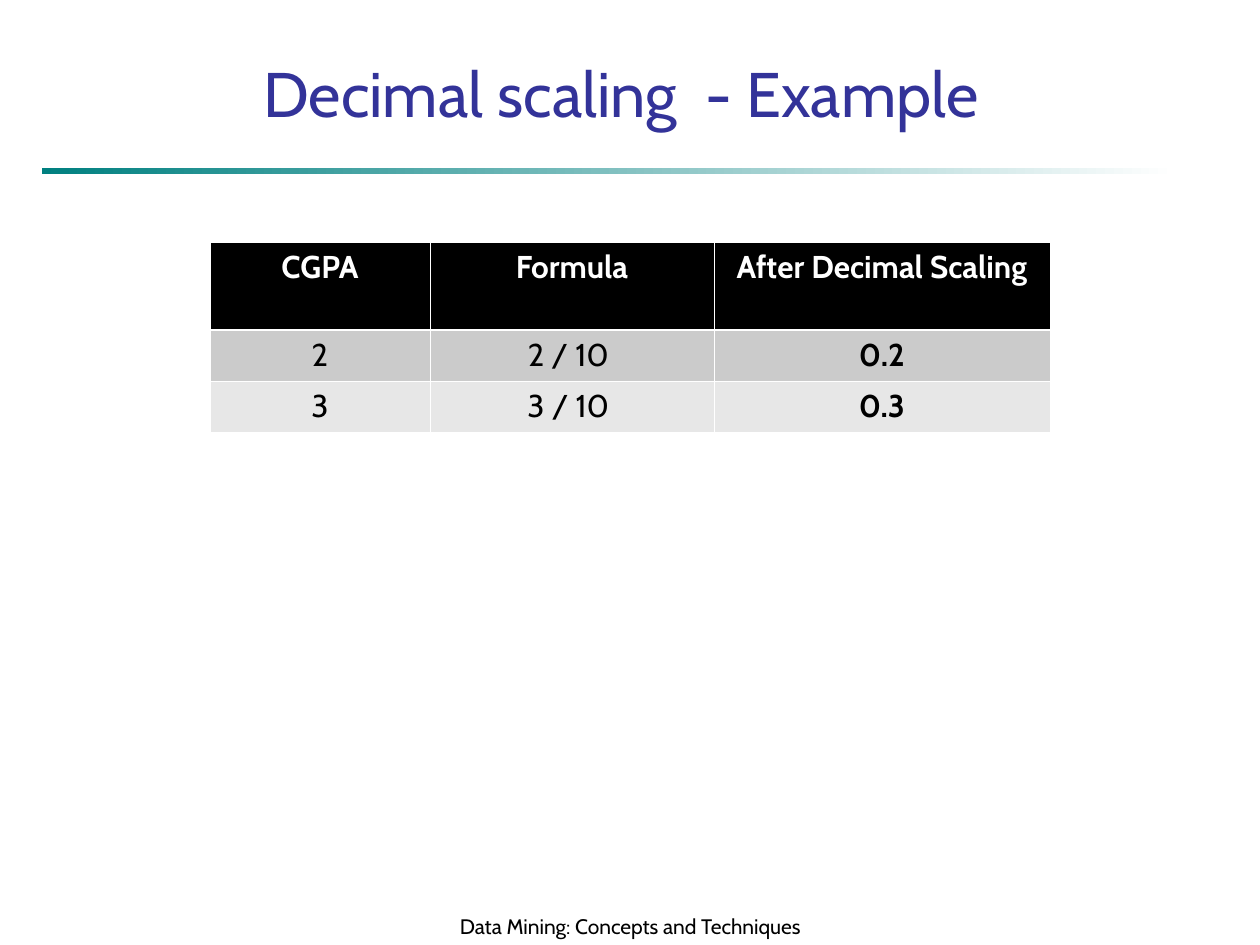
from lxml import etree
from pptx import Presentation
from pptx import util as u
from pptx.dml.color import RGBColor
from pptx.enum import shapes, text
from pptx.oxml import ns

PX = 914400 / 126
BLACK = RGBColor(0, 0, 0)
WHITE = RGBColor(255, 255, 255)
INDIGO = RGBColor(0x33, 0x33, 0x99)
TEAL = RGBColor(0, 0x80, 0x80)
BANDS = RGBColor(0xCB, 0xCB, 0xCB), RGBColor(0xE7, 0xE7, 0xE7)


def px(*lengths):
    return [u.Emu(round(n * PX)) for n in lengths]


class Deck:
    """Draws the elements of a slide in one shared style."""

    font = "Cabin"
    thin, thick = 0.45, 1.47

    def __init__(self, width, height):
        self.prs = Presentation()
        self.prs.slide_width, self.prs.slide_height = px(width, height)
        self.s = self.prs.slides.add_slide(self.prs.slide_layouts[6])

    def add_text(self, tf, words, size, color, bold=False):
        p = tf.paragraphs[0]
        p.alignment = text.PP_ALIGN.CENTER
        r = p.add_run()
        r.text = words
        r.font.name, r.font.size, r.font.bold = self.font, u.Pt(size), bold
        r.font.color.rgb = color
        return p

    def label(self, box, words, size, color):
        tf = self.s.shapes.add_textbox(*px(*box)).text_frame
        tf.word_wrap = True
        tf.vertical_anchor = text.MSO_ANCHOR.BOTTOM
        self.add_text(tf, words, size, color).line_spacing = 1.01

    def rule(self, box, start, end):
        sp = self.s.shapes.add_shape(shapes.MSO_SHAPE.ROUNDED_RECTANGLE, *px(*box))
        sp.shadow.inherit = False
        sp.adjustments[0] = 0.04
        sp.line.fill.background()
        sp.fill.gradient()
        sp.fill.gradient_angle = 0
        for stop, color in zip(sp.fill.gradient_stops, (start, end)):
            stop.color.rgb = color

    def borders(self, cell, top, bottom):
        tc_pr = cell._tc.get_or_add_tcPr()
        widths = {"a:lnL": self.thin, "a:lnR": self.thin, "a:lnT": top, "a:lnB": bottom}
        for tag, width in widths.items():
            ln = etree.SubElement(tc_pr, ns.qn(tag), w=str(u.Pt(width)))
            fill = etree.SubElement(ln, ns.qn("a:solidFill"))
            etree.SubElement(fill, ns.qn("a:srgbClr"), val=str(WHITE))

    def table(self, left, top, widths, heights, rows):
        box = px(left, top, sum(widths), sum(heights))
        table = self.s.shapes.add_table(len(rows), len(widths), *box).table
        for col, width in zip(table.columns, px(*widths)):
            col.width = width
        for i, (row, height) in enumerate(zip(rows, px(*heights))):
            table.rows[i].height = height
            header = i == 0
            for j, words in enumerate(row):
                cell = table.cell(i, j)
                self.borders(cell, self.thick if i == 1 else self.thin,
                             self.thick if header else self.thin)
                cell.fill.solid()
                cell.fill.fore_color.rgb = BLACK if header else BANDS[(i - 1) % 2]
                self.add_text(cell.text_frame, words, 18, WHITE if header else BLACK,
                              header or j == len(row) - 1)


def main():
    deck = Deck(1260, 945)
    deck.rule((42, 168, 1134, 6), TEAL, WHITE)
    deck.label((431, 881, 399, 64), "Data Mining: Concepts and Techniques", 12, BLACK)
    deck.label((84, 30, 1074, 106), "Decimal scaling  - Example", 36, INDIGO)
    deck.table(210, 242, (220, 284, 336), (88, 51, 51), [
        ("CGPA", "Formula", "After Decimal Scaling"),
        ("2", "2 / 10 ", "0.2"),
        ("3", "3 / 10 ", "0.3"),
    ])
    deck.prs.save("out.pptx")


if __name__ == "__main__":
    main()
